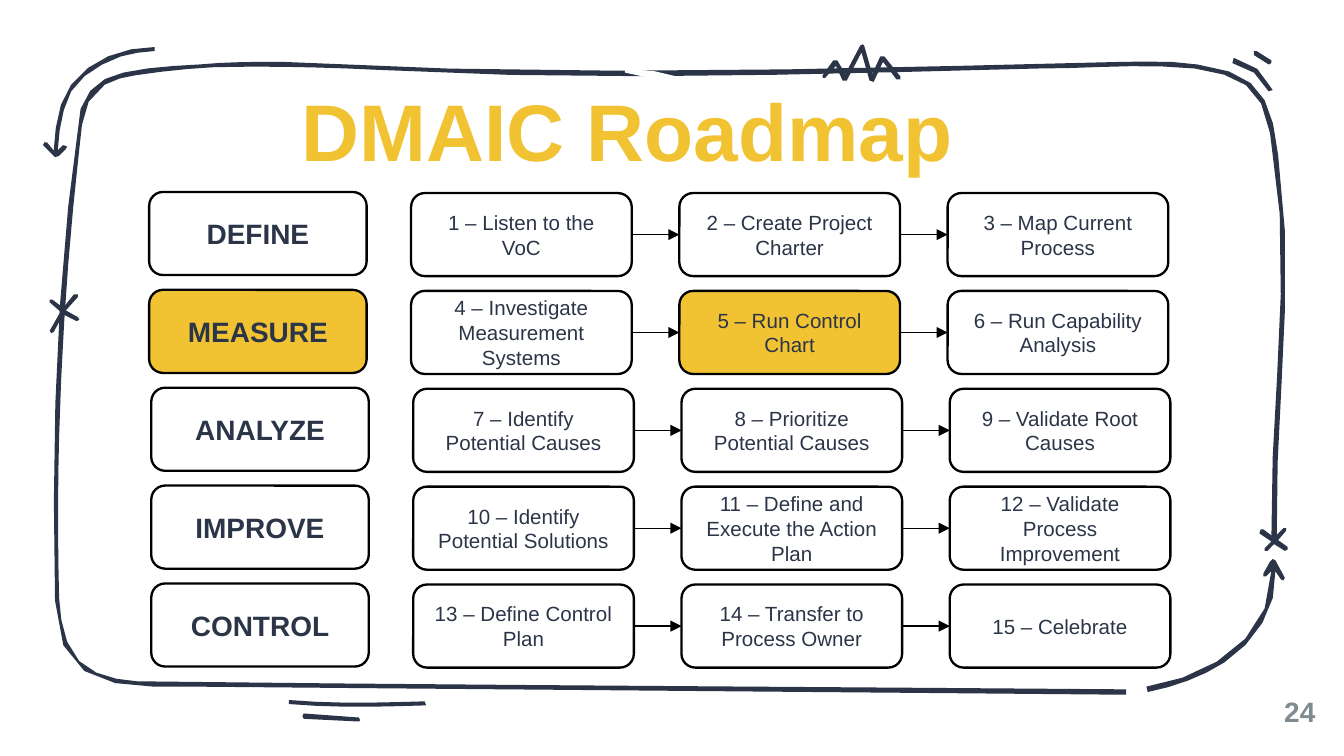
from dataclasses import dataclass
from math import ceil, dist

from lxml.etree import SubElement
from pptx import Presentation
from pptx.dml.color import RGBColor
from pptx.enum.shapes import MSO_CONNECTOR, MSO_SHAPE
from pptx.enum.text import MSO_ANCHOR, MSO_AUTO_SIZE, PP_ALIGN
from pptx.oxml.ns import qn
from pptx.shapes.autoshape import Shape
from pptx.slide import Slide
from pptx.text.text import TextFrame
from pptx.util import Cm, Pt


@dataclass(frozen=True)
class Theme:
    font: str = "Arial"
    ink: RGBColor = RGBColor(0x2B, 0x35, 0x47)
    accent: RGBColor = RGBColor(0xF1, 0xC2, 0x32)
    paper: RGBColor = RGBColor(0xFF, 0xFF, 0xFF)
    border: RGBColor = RGBColor(0, 0, 0)
    muted: RGBColor = RGBColor(0x7F, 0x8B, 0x91)
    title_size: Pt = Pt(43)
    phase_size: Pt = Pt(15)
    step_size: Pt = Pt(11)
    number_size: Pt = Pt(15)
    border_width: Pt = Pt(1.25)
    arrow_width: Pt = Pt(0.75)


@dataclass(frozen=True)
class Phase:
    name: str
    steps: tuple[str, str, str]
    shift: float = 0.04  # cm to the right


THEME = Theme()
CURRENT = ("MEASURE", "5 – Run Control Chart")
PHASES = (
    Phase("DEFINE", ("1 – Listen to the VoC", "2 – Create Project Charter",
                     "3 – Map Current Process"), 0),
    Phase("MEASURE", ("4 – Investigate Measurement Systems", "5 – Run Control Chart",
                      "6 – Run Capability Analysis"), 0),
    Phase("ANALYZE", ("7 – Identify Potential Causes", "8 – Prioritize Potential Causes",
                      "9 – Validate Root Causes")),
    Phase("IMPROVE", ("10 – Identify Potential Solutions",
                      "11 – Define and Execute the Action Plan",
                      "12 – Validate Process Improvement")),
    Phase("CONTROL", ("13 – Define Control Plan", "14 – Transfer to Process Owner",
                      "15 – Celebrate")),
)

# Grid, in cm
PHASE_LEFT, PHASE_WIDTH = 2.82, 4.11
STEP_LEFT, STEP_WIDTH, STEP_PITCH = 7.77, 4.17, 5.07
ROW_TOP, ROW_PITCH, BOX_HEIGHT = 3.63, 1.85, 1.57
STEP_DROP = 0.02

# Closed pen outlines in inches: C starts cubic curves, L starts straight lines
CM_PER_INCH = 2.54
PART_LENGTH, MOST_PARTS = 0.2, 5
FRAME = """9.51,1.15 C 9.46,.72 9.37,.54 8.91,.48 8.71,.45 8.57,.46 8.37,.46
    6.28,.51 4.18,.58 2.09,.46 1.89,.46 1.68,.46 1.48,.48 1.29,.49 1.1,.5 .92,.54
    .77,.57 .65,.65 .6,.81 .42,2.01 .38,3.25 .41,4.47 .42,5.16 .92,5.11 1.45,5.11
    3.75,5.13 6.09,5.15 8.38,5.17 8.41,5.17 8.41,5.13 8.38,5.13
    5.93,5.11 3.47,5.1 1.02,5.07 .87,5.06 .7,5.03 .59,4.92 .47,4.79 .45,4.61 .44,4.45
    .43,4.05 .43,3.65 .44,3.25 .46,2.53 .51,1.82 .59,1.11 .61,.94 .61,.72 .78,.63
    .85,.59 .93,.57 1.01,.56 1.2,.53 1.4,.51 1.59,.5 2,.49 2.41,.5 2.82,.52
    4.45,.61 6.09,.55 7.72,.51 8.12,.51 8.48,.47 8.89,.51 9.22,.56 9.39,.63 9.45,.99
    9.64,1.99 9.44,2.99 9.46,4.02 9.46,4.05 9.5,4.03 9.5,4.01 9.48,3.06 9.65,2.1 9.51,1.15"""
LONG_DASH = """2.15,5.24 C 2.49,5.27 2.83,5.26 3.17,5.25 3.19,5.25 3.18,5.22 3.16,5.22
    2.83,5.23 2.49,5.24 2.15,5.21 2.13,5.21 2.13,5.24 2.15,5.24"""
SHORT_DASH = "2.26,5.35 L 2.67,5.37 2.68,5.36 2.67,5.34 2.26,5.31 2.25,5.33"
ZIGZAG = """6.4,.34 L 6.29,.55 6.23,.45 6.2,.45 6.12,.56 6.12,.58 6.14,.58 6.22,.49 6.27,.6
    6.3,.6 6.41,.39 6.47,.6 6.5,.61 6.57,.46 6.67,.59 6.7,.59 6.7,.57 6.58,.42 6.55,.42
    6.49,.55 6.43,.34 6.42,.33"""
LONG_ARC = """9.47,.67 C 9.42,.54 9.31,.46 9.18,.43 9.15,.43 9.15,.47 9.17,.47
    9.29,.49 9.39,.57 9.44,.68 9.45,.7 9.48,.68 9.47,.67"""
SHORT_ARC = "9.46,.45 L 9.35,.38 9.33,.38 9.33,.41 9.44,.48 9.46,.47"
LEFT_CROSS = """.58,2.36 L .49,2.31 .58,2.21 .58,2.19 .55,2.19 .47,2.29 .39,2.23 .37,2.23
    .37,2.25 .45,2.32 .37,2.46 .38,2.48 .4,2.47 .47,2.34 .57,2.39 .59,2.38"""
RIGHT_CROSS = """9.58,4.07 L 9.51,4.02 9.57,3.95 9.57,3.93 9.55,3.93 9.48,4 9.4,3.94 9.38,3.94
    9.37,3.97 9.46,4.03 9.41,4.08 9.41,4.1 9.43,4.1 9.48,4.05 9.56,4.1 9.58,4.09"""
UP_ARROW = """9.11,4.93 C 9.34,4.78 9.51,4.52 9.49,4.25 L 9.53,4.31 9.55,4.32 9.56,4.3
    9.49,4.17 9.47,4.16 9.45,4.18 9.4,4.27 9.4,4.29 9.42,4.29 9.46,4.25
    C 9.47,4.76 8.98,5.04 8.53,5.11 8.51,5.12 8.52,5.15 8.54,5.15 8.74,5.11 8.94,5.04 9.11,4.93"""
DOWN_ARROW = """.44,1.16 L .49,1.11 .5,1.09 .47,1.08 .43,1.12
    C .44,.97 .46,.81 .53,.68 .61,.55 .76,.47 .9,.42 .98,.4 1.07,.38 1.15,.38
    1.17,.38 1.17,.35 1.15,.35 .92,.35 .67,.44 .53,.63 .43,.76 .41,.96 .4,1.12
    L .35,1.06 .33,1.06 .32,1.08 .37,1.13 .41,1.17"""
WHITE_RING = """6.03,1.65 C 5.95,1.07 5.45,.58 4.87,.53 4.8,.52 4.72,.52 4.65,.52
    4.63,.52 4.63,.54 4.65,.54 5.96,.49 6.5,2.1 5.49,2.9 5.05,3.23 4.42,3.29 3.94,3.01
    3.43,2.72 3.25,2.05 3.4,1.5 3.54,.9 4.18,.45 4.79,.63 4.81,.64 4.81,.62 4.8,.61
    4.26,.45 3.66,.79 3.45,1.3 3.08,2.16 3.56,3.17 4.54,3.21 5.41,3.26 6.14,2.52 6.03,1.65"""
INK_OUTLINES = (FRAME, LONG_DASH, SHORT_DASH, ZIGZAG, LONG_ARC, SHORT_ARC,
                LEFT_CROSS, RIGHT_CROSS, UP_ARROW, DOWN_ARROW)


def outline_points(outline: str) -> list[tuple[float, float]]:
    """Turn an outline into points, dividing longer curves into more lines."""
    points, controls, command = [], [], "L"
    for token in outline.split():
        if token in ("C", "L"):
            command = token
            continue
        x, y = (float(value) for value in token.split(","))
        if command == "L":
            points.append((x, y))
            continue
        controls.append((x, y))
        if len(controls) == 3:
            curve = [points[-1], *controls]
            parts = min(MOST_PARTS, ceil(dist(curve[0], curve[3]) / PART_LENGTH))
            for part in range(1, parts + 1):
                t = part / parts
                weights = ((1 - t) ** 3, 3 * t * (1 - t) ** 2, 3 * t * t * (1 - t), t ** 3)
                points.append(tuple(sum(w * point[axis] for w, point in zip(weights, curve))
                                    for axis in (0, 1)))
            controls = []
    return points


def draw_outline(slide: Slide, outline: str, color: RGBColor) -> None:
    points = [(Cm(x * CM_PER_INCH), Cm(y * CM_PER_INCH)) for x, y in outline_points(outline)]
    builder = slide.shapes.build_freeform(*points[0])
    builder.add_line_segments(points[1:], close=True)
    shape = builder.convert_to_shape()
    shape.shadow.inherit = False
    shape.fill.solid()
    shape.fill.fore_color.rgb = color
    shape.line.fill.background()


def write(frame: TextFrame, text: str, size: Pt, color: RGBColor, bold: bool = False,
          alignment: PP_ALIGN = PP_ALIGN.CENTER, margins: bool = True) -> None:
    frame.word_wrap = True
    frame.auto_size = MSO_AUTO_SIZE.NONE
    frame.vertical_anchor = MSO_ANCHOR.MIDDLE
    if not margins:
        frame.margin_left = frame.margin_right = frame.margin_top = frame.margin_bottom = 0
    paragraph = frame.paragraphs[0]
    paragraph.alignment = alignment
    run = paragraph.add_run()
    run.text = text
    run.font.name, run.font.size, run.font.bold = THEME.font, size, bold
    run.font.color.rgb = color


def add_box(slide: Slide, text: str, left: float, top: float, width: float,
            size: Pt, bold: bool = False) -> Shape:
    shape = slide.shapes.add_shape(MSO_SHAPE.ROUNDED_RECTANGLE, Cm(left), Cm(top),
                                   Cm(width), Cm(BOX_HEIGHT))
    shape.shadow.inherit = False
    shape.fill.solid()
    shape.fill.fore_color.rgb = THEME.accent if text in CURRENT else THEME.paper
    shape.line.color.rgb = THEME.border
    shape.line.width = THEME.border_width
    write(shape.text_frame, text, size, THEME.ink, bold)
    return shape


def add_arrow(slide: Slide, source: Shape, target: Shape) -> None:
    connector = slide.shapes.add_connector(MSO_CONNECTOR.STRAIGHT, 0, 0, 0, 0)
    connector.begin_connect(source, 3)
    connector.end_connect(target, 1)
    connector.line.color.rgb = THEME.border
    connector.line.width = THEME.arrow_width
    properties = connector.element.spPr
    SubElement(properties.find(qn("a:ln")), qn("a:tailEnd"), type="triangle")
    SubElement(properties, qn("a:effectLst"))


def add_phase(slide: Slide, phase: Phase, row: int) -> None:
    top = ROW_TOP + row * ROW_PITCH
    add_box(slide, phase.name, PHASE_LEFT + phase.shift, top, PHASE_WIDTH,
            THEME.phase_size, bold=True)
    boxes = [add_box(slide, step, STEP_LEFT + phase.shift + column * STEP_PITCH,
                     top + STEP_DROP, STEP_WIDTH, THEME.step_size)
             for column, step in enumerate(phase.steps)]
    for source, target in zip(boxes, boxes[1:]):
        add_arrow(slide, source, target)


def add_title(slide: Slide, text: str) -> None:
    """Fill the title placeholder and bring it in front of the pen drawing."""
    title = slide.shapes.title
    title.left, title.top, title.width, title.height = Cm(2.92), Cm(1.5), Cm(17.86), Cm(2.11)
    write(title.text_frame, text, THEME.title_size, THEME.accent, bold=True, margins=False)
    title.text_frame.paragraphs[0].line_spacing = 0.9
    title.element.getparent().append(title.element)


def main() -> None:
    presentation = Presentation()
    presentation.slide_width, presentation.slide_height = Cm(25.4), Cm(14.29)
    slide = presentation.slides.add_slide(presentation.slide_layouts[5])
    for outline in INK_OUTLINES:
        draw_outline(slide, outline, THEME.ink)
    number = slide.shapes.add_textbox(Cm(23.34), Cm(13.03), Cm(1.52), Cm(0.84))
    write(number.text_frame, "24", THEME.number_size, THEME.muted, bold=True,
          alignment=PP_ALIGN.RIGHT, margins=False)
    draw_outline(slide, WHITE_RING, THEME.paper)
    add_title(slide, "DMAIC Roadmap")
    for row, phase in enumerate(PHASES):
        add_phase(slide, phase, row)
    presentation.save("out.pptx")


if __name__ == "__main__":
    main()
